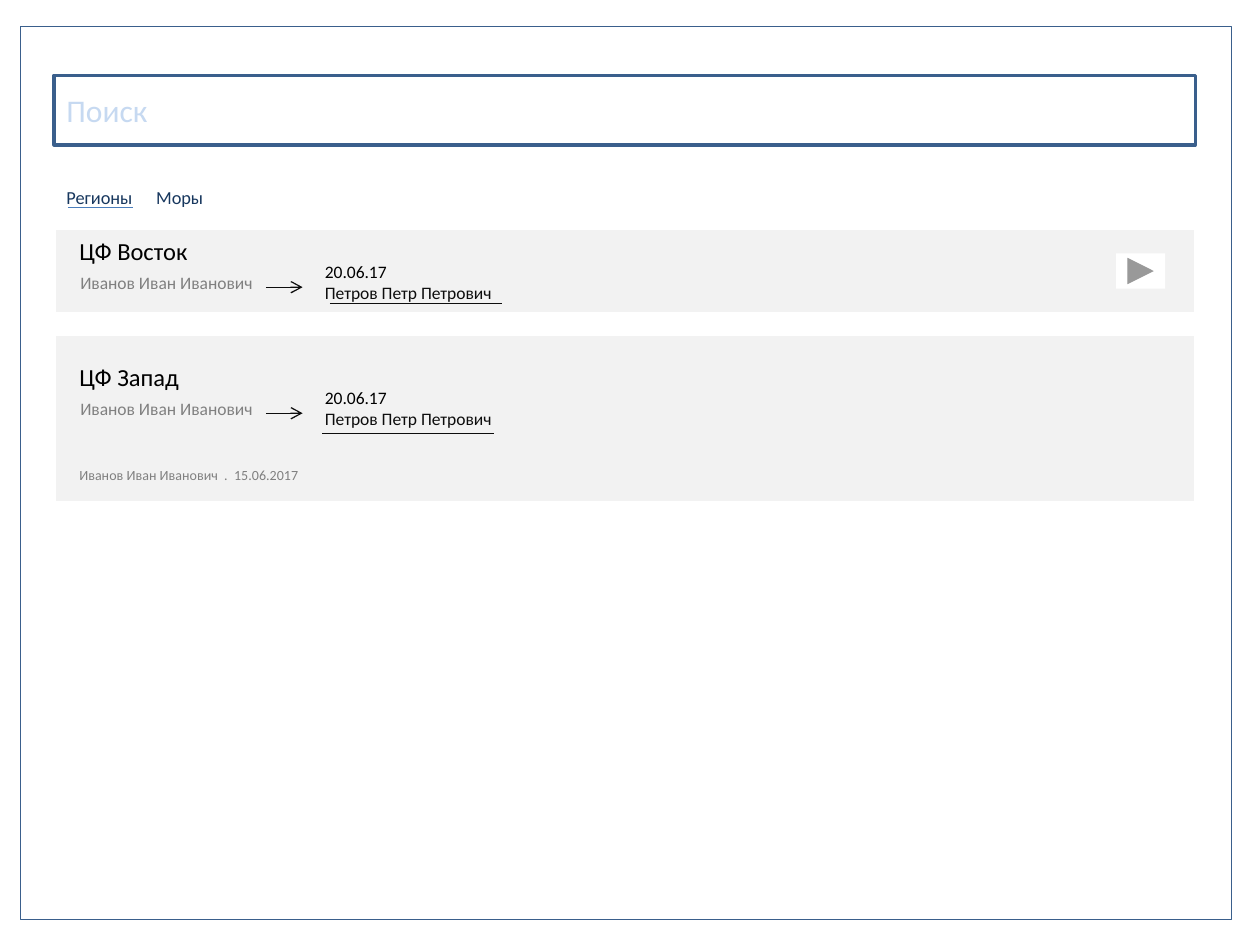
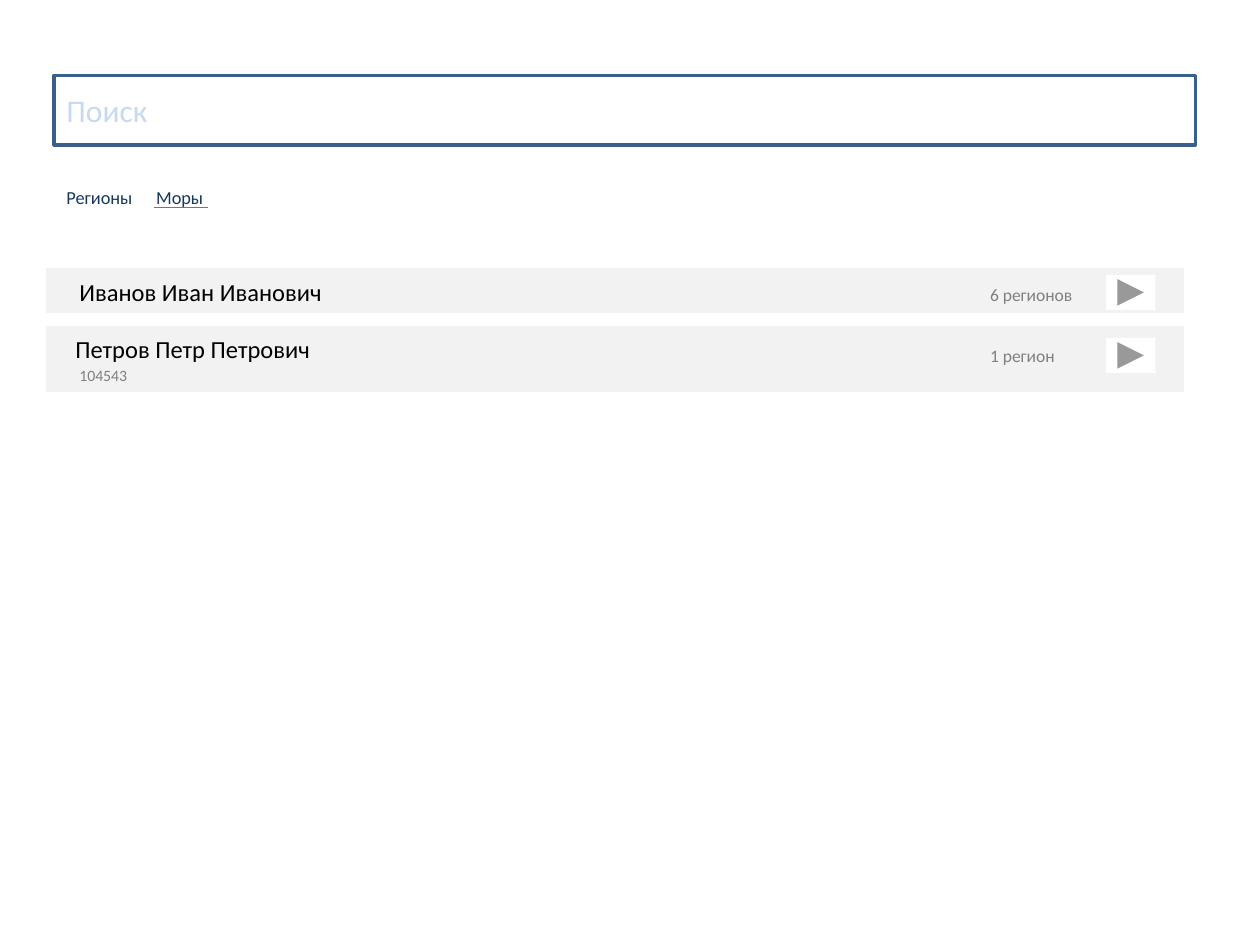
from pptx import Presentation
from pptx.dml.color import RGBColor
from pptx.enum.shapes import MSO_CONNECTOR, MSO_SHAPE
from pptx.enum.text import MSO_ANCHOR, PP_ALIGN
from pptx.oxml.ns import qn
from pptx.util import Cm, Pt
from lxml.etree import SubElement

WHITE = RGBColor(0xFF, 0xFF, 0xFF)
BLACK = RGBColor(0, 0, 0)
INK = RGBColor(0x0D, 0x0D, 0x0D)
GREY = RGBColor(0x80, 0x80, 0x80)
PANEL = RGBColor(0xF2, 0xF2, 0xF2)
BORDER = RGBColor(0x3A, 0x5F, 0x8C)
TAB_TEXT = RGBColor(0x17, 0x37, 0x5E)
TAB_LINE = RGBColor(0x4B, 0x7E, 0xBC)
HINT = RGBColor(0xC6, 0xD9, 0xF1)

FONT = "Calibri"
MARGIN, WIDTH = 1.09, 23.01


def add_box(page, text, left, top, width, height, kind=MSO_SHAPE.RECTANGLE,
            fill=None, line=None, weight=2, size=10, colors=(BLACK,)):
    """Add a shape; each line of text is a paragraph with its own colour."""
    box = page.shapes.add_shape(kind, Cm(left), Cm(top), Cm(width), Cm(height))
    box.shadow.inherit = False
    if fill is None:
        box.fill.background()
    else:
        box.fill.solid()
        box.fill.fore_color.rgb = fill
    if line is None:
        box.line.fill.background()
    else:
        box.line.color.rgb = line
        box.line.width = Pt(weight)
    if text:
        frame = box.text_frame
        frame.word_wrap = True
        frame.vertical_anchor = MSO_ANCHOR.MIDDLE
        frame.margin_top = frame.margin_bottom = frame.margin_right = 0
        for index, (words, color) in enumerate(zip(text.split("\n"), colors)):
            para = frame.add_paragraph() if index else frame.paragraphs[0]
            para.alignment = PP_ALIGN.LEFT
            span = para.add_run()
            span.text = words
            span.font.name = FONT
            span.font.size = Pt(size)
            span.font.color.rgb = color
    return box


def add_line(page, start, end, top, color=INK, arrow=False):
    """Add a thin horizontal line, with an open arrowhead if asked."""
    line = page.shapes.add_connector(
        MSO_CONNECTOR.STRAIGHT, Cm(start), Cm(top), Cm(end), Cm(top))
    line.line.color.rgb = color
    line.line.width = Pt(0.75)
    properties = line._element.spPr
    if arrow:
        SubElement(properties.find(qn("a:ln")), qn("a:tailEnd"), type="arrow")
    SubElement(properties, qn("a:effectLst"))


deck = Presentation()
deck.slide_width, deck.slide_height = Cm(25.4), Cm(19.05)
regions, people = [deck.slides.add_slide(deck.slide_layouts[6]) for _ in range(2)]

# Window frame of the regions page
add_box(regions, "", 0.41, 0.53, 24.41, 18.01, fill=WHITE, line=BORDER, weight=0.25)

# Search field and tabs, with the active tab underlined
for page, start, end in ((regions, 1.37, 2.69), (people, 3.1, 4.19)):
    add_box(page, "Поиск", MARGIN, 1.52, WIDTH, 1.4, fill=WHITE, line=BORDER,
            size=18, colors=(HINT,))
    for tab, left in (("Регионы", MARGIN), ("Моры", 2.9)):
        add_box(page, tab, left, 3.53, 2.01, 0.89, fill=WHITE, line=WHITE,
                size=10.5, colors=(TAB_TEXT,))
    add_line(page, start, end, 4.19, color=TAB_LINE)

# Region cards: panel top and height, content top, underline start and top
cards = (("ЦФ Восток", 4.6, 1.73, 4.6, 6.65, 6.12),
         ("ЦФ Запад", 6.73, 3.4, 7.14, 6.5, 8.74))
for name, panel_top, panel_height, top, rule_left, rule_top in cards:
    add_box(regions, "", MARGIN, panel_top, WIDTH, panel_height, fill=PANEL, line=WHITE)
    add_box(regions, name, 1.35, top, 3.15, 0.89, size=14)
    add_box(regions, "Иванов Иван Иванович", 1.37, top + 0.86, 3.99, 0.48,
            colors=(GREY,))
    add_line(regions, 5.36, 6.1, top + 1.19, arrow=True)
    add_box(regions, "20.06.17\nПетров Петр Петрович", 6.3, top + 0.58, 4.19, 1,
            colors=(BLACK, INK))
    add_line(regions, rule_left, rule_left + 3.46, rule_top)
add_box(regions, "Иванов Иван Иванович  .  15.06.2017", 1.35, 9.32, 9.35, 0.51,
        size=8, colors=(GREY,))

# People rows: panel top and height, name position, count position and width
rows = (("Иванов Иван Иванович", 5.36, 0.99, 1.35, 5.54, "6 регионов", 5.59, 2.59),
        ("Петров Петр Петрович", 6.53, 1.4, 1.27, 6.68, "1 регион", 6.83, 2.01))
for name, top, height, name_left, name_top, count, count_top, count_width in rows:
    add_box(people, "", 0.89, top, WIDTH, height, fill=PANEL, line=WHITE)
    add_box(people, name, name_left, name_top, 5.87, 0.69, fill=PANEL, size=14)
    add_box(people, count, 19.71, count_top, count_width, 0.69, fill=PANEL,
            colors=(GREY,))
add_box(people, "104543", 1.35, 7.39, 1.55, 0.33, fill=PANEL, size=9, colors=(GREY,))

# Forward buttons
for page, left, top in ((regions, 22.5, 5.11), (people, 22.3, 5.54), (people, 22.3, 6.81)):
    add_box(page, "", left, top, 0.99, 0.71, fill=WHITE,
            kind=MSO_SHAPE.ACTION_BUTTON_FORWARD_OR_NEXT)

deck.save("out.pptx")
